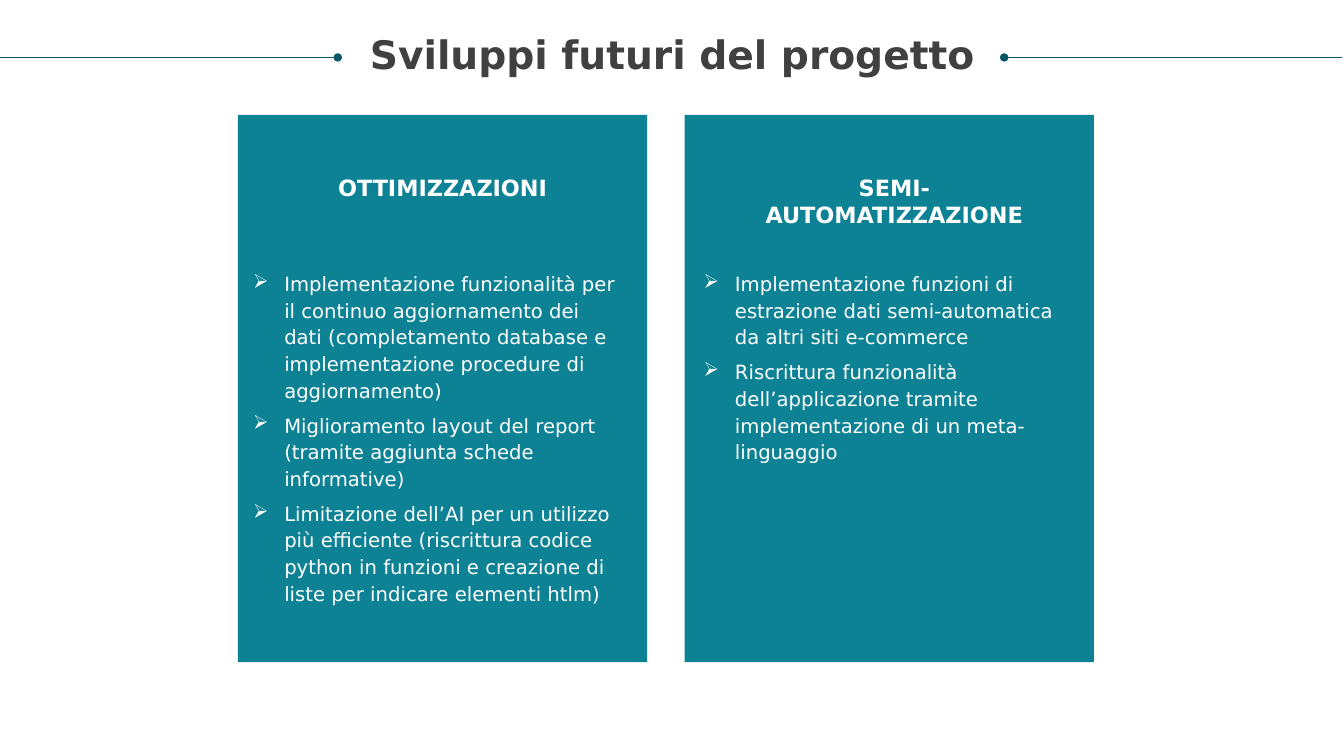
from dataclasses import dataclass

from lxml import etree
from pptx import Presentation
from pptx.dml.color import RGBColor
from pptx.enum.shapes import MSO_CONNECTOR, MSO_SHAPE
from pptx.enum.text import MSO_ANCHOR, MSO_AUTO_SIZE, PP_ALIGN
from pptx.oxml.ns import qn
from pptx.util import Inches, Pt

RECTANGLE = MSO_SHAPE.RECTANGLE
STRAIGHT = MSO_CONNECTOR.STRAIGHT
CENTER, LEFT = PP_ALIGN.CENTER, PP_ALIGN.LEFT

# Content
TITLE = "Sviluppi futuri del progetto"
CARDS = [
    {
        "heading": "OTTIMIZZAZIONI",
        "heading_box": (3.25, 2.28, 0.27),  # left, width, height
        "list_box": (2.51, 3.34),  # left, height
        "points": [
            "Implementazione funzionalità per il continuo aggiornamento dei dati "
            "(completamento database e implementazione procedure di aggiornamento)",
            "Miglioramento layout del report (tramite aggiunta schede informative)",
            "Limitazione dell’AI per un utilizzo più efficiente (riscrittura codice "
            "python in funzioni e creazione di liste per indicare elementi htlm)",
        ],
    },
    {
        "heading": "SEMI-AUTOMATIZZAZIONE",
        "heading_box": (7.49, 2.76, 0.54),
        "list_box": (6.98, 1.92),
        "points": [
            "Implementazione funzioni di estrazione dati semi-automatica "
            "da altri siti e-commerce",
            "Riscrittura funzionalità dell’applicazione tramite "
            "implementazione di un meta-linguaggio",
        ],
    },
]


@dataclass(frozen=True)
class Theme:
    font: str = "DejaVu Sans"
    title_color: RGBColor = RGBColor(0x40, 0x40, 0x40)
    rule_color: RGBColor = RGBColor(0x08, 0x57, 0x64)
    card_color: RGBColor = RGBColor(0x0D, 0x82, 0x95)
    card_text: RGBColor = RGBColor(0xFF, 0xFF, 0xFF)
    title_size: int = 28
    heading_size: int = 16
    body_size: int = 14


THEME = Theme()

# Layout, in inches
SLIDE_W, SLIDE_H = 13.33, 7.5
RULE_Y = 0.57
RULES = [(0, 3.35), (13.31, 9.96)]  # outer end, dotted inner end
CARD_LEFT, CARD_TOP, CARD_W, CARD_H, CARD_STEP = 2.36, 1.14, 4.06, 5.43, 4.43
HEADING_TOP, LIST_TOP, LIST_W = 1.73, 2.67, 3.66
BULLET_INDENT = 0.31


def prepare_frame(frame):
    frame.word_wrap = True
    frame.auto_size = MSO_AUTO_SIZE.NONE
    frame.vertical_anchor = MSO_ANCHOR.TOP
    frame.margin_left = frame.margin_right = frame.margin_top = frame.margin_bottom = 0


def style(paragraph, size, color, bold, align):
    paragraph.alignment = align
    font = paragraph.font
    font.name, font.size, font.bold = THEME.font, Pt(size), bold
    font.color.rgb = color


def add_text_frame(slide, left, top, width, height):
    box = slide.shapes.add_textbox(Inches(left), Inches(top), Inches(width), Inches(height))
    prepare_frame(box.text_frame)
    return box.text_frame


def add_arrow_bullet(paragraph):
    properties = paragraph._p.get_or_add_pPr()
    properties.set("marL", str(Inches(BULLET_INDENT)))
    properties.set("indent", str(-Inches(BULLET_INDENT)))
    bullet = etree.Element(qn("a:buChar"), char="➢")
    default_run = properties.find(qn("a:defRPr"))
    default_run.addprevious(bullet)


def add_title(slide):
    title = slide.shapes.title
    title.left, title.top = Inches(0.25), Inches(0.35)
    title.width, title.height = Inches(12.83), Inches(0.42)
    prepare_frame(title.text_frame)
    paragraph = title.text_frame.paragraphs[0]
    paragraph.text = TITLE
    paragraph.line_spacing = 0.9
    style(paragraph, THEME.title_size, THEME.title_color, True, CENTER)


def add_rule(slide, outer, inner):
    rule = slide.shapes.add_connector(
        STRAIGHT, Inches(outer), Inches(RULE_Y), Inches(inner), Inches(RULE_Y))
    rule.line.color.rgb = THEME.rule_color
    rule.line.width = Pt(0.5)
    etree.SubElement(rule.line._get_or_add_ln(), qn("a:tailEnd"), type="oval")
    etree.SubElement(rule._element.spPr, qn("a:effectLst"))


def add_card(slide, index, content):
    # Panel
    panel = slide.shapes.add_shape(
        RECTANGLE, Inches(CARD_LEFT + index * CARD_STEP), Inches(CARD_TOP),
        Inches(CARD_W), Inches(CARD_H))
    panel.shadow.inherit = False
    panel.fill.solid()
    panel.fill.fore_color.rgb = THEME.card_color
    panel.line.fill.background()

    # Heading
    left, width, height = content["heading_box"]
    heading = add_text_frame(slide, left, HEADING_TOP, width, height).paragraphs[0]
    heading.text = content["heading"]
    style(heading, THEME.heading_size, THEME.card_text, True, CENTER)

    # Points
    left, height = content["list_box"]
    frame = add_text_frame(slide, left, LIST_TOP, LIST_W, height)
    for number, point in enumerate(content["points"]):
        paragraph = frame.add_paragraph() if number else frame.paragraphs[0]
        paragraph.text = point
        paragraph.line_spacing = Pt(19)
        paragraph.space_after = Pt(6)
        style(paragraph, THEME.body_size, THEME.card_text, False, LEFT)
        add_arrow_bullet(paragraph)


def main():
    deck = Presentation()
    deck.slide_width, deck.slide_height = Inches(SLIDE_W), Inches(SLIDE_H)
    slide = deck.slides.add_slide(deck.slide_layouts[5])
    add_title(slide)
    for outer, inner in RULES:
        add_rule(slide, outer, inner)
    for index, content in enumerate(CARDS):
        add_card(slide, index, content)
    deck.save("out.pptx")


if __name__ == "__main__":
    main()
